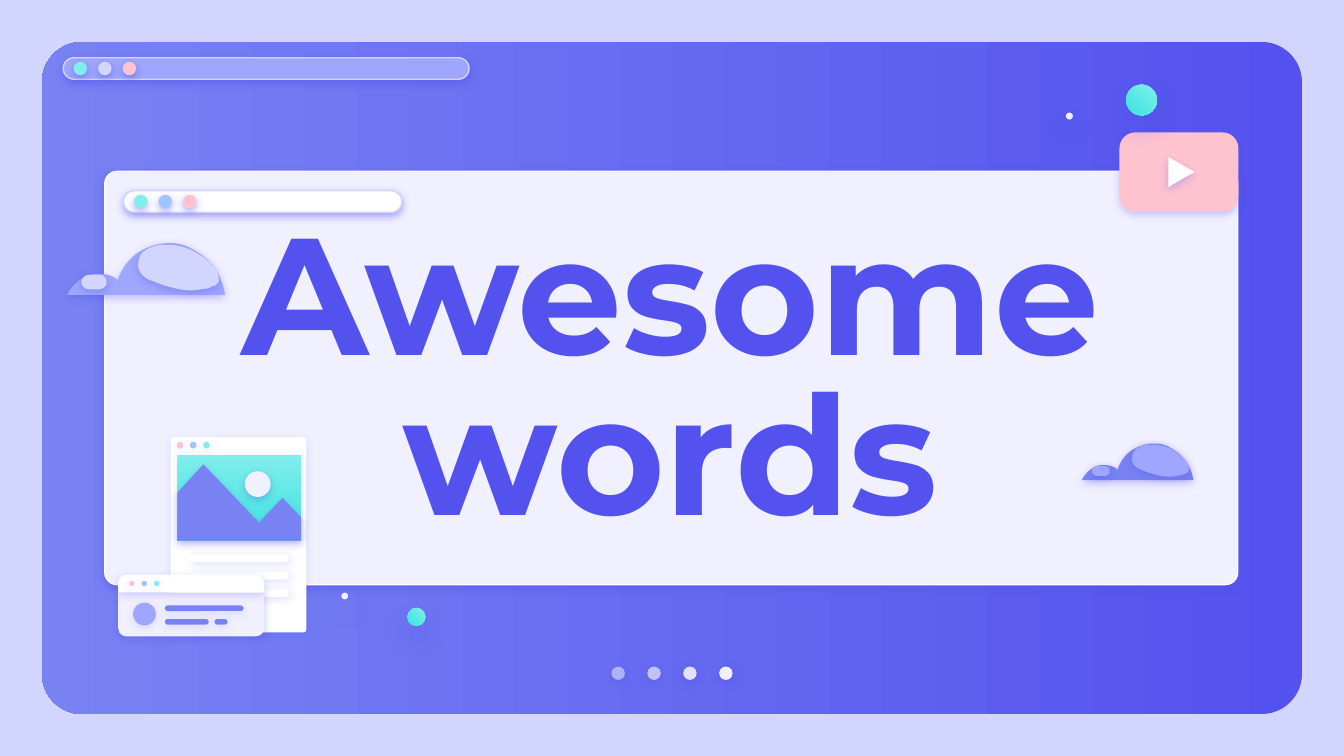
from dataclasses import dataclass

from lxml.etree import SubElement
from pptx import Presentation
from pptx.dml.color import RGBColor
from pptx.enum.shapes import MSO_SHAPE
from pptx.enum.text import MSO_ANCHOR, PP_ALIGN
from pptx.oxml.ns import qn
from pptx.util import Inches, Pt


@dataclass(frozen=True)
class Theme:
    indigo: str = "5352EE"
    violet: str = "7882F3"
    lilac: str = "9EA6FF"
    mist: str = "D2D6FF"
    paper: str = "F1F0FF"
    white: str = "FFFFFF"
    pink: str = "FFC3D0"
    sky: str = "A1C3FF"
    aqua: str = "81EEEB"
    teal: str = "3AE4DF"
    font: str = "Montserrat"
    title_size: int = 89
    outline: float = 0.75


@dataclass(frozen=True)
class Shadow:
    opacity: int
    blur: float = 4.5
    distance: float = 1.5
    angle: int = 90


@dataclass(frozen=True)
class Box:
    left: float
    top: float
    width: float
    height: float

    def inner(self, x, y, w, h):
        return Box(*self.point(x, y), w * self.width, h * self.height)

    def disc(self, x, y, diameter):
        size = diameter * self.height
        cx, cy = self.point(x, y)
        return Box(cx - size / 2, cy - size / 2, size, size)

    def point(self, x, y):
        return self.left + x * self.width, self.top + y * self.height

    def emu(self):
        return [round(v * CELL) for v in (self.left, self.top, self.width, self.height)]


THEME = Theme()
STRONG, MEDIUM, SOFT, FAINT = (Shadow(n) for n in (50, 34, 31, 14))
SLANTED = Shadow(18, angle=39)
FLOATING = Shadow(38, 12.4, 6.8)
WIDTH, HEIGHT = Inches(10), Inches(10) * 9 // 16
CELL = WIDTH / 100
PAGE = Box(0, 0, 100, 56.25)

CLOUD_BODY = [
    (0.65, 0), (0.57, 0, 0.5, 0.08, 0.44, 0.2), (0.39, 0.31, 0.34, 0.51, 0.32, 0.72),
    (0.29, 0.62, 0.24, 0.59, 0.2, 0.59), (0.18, 0.59, 0.15, 0.59, 0.14, 0.62),
    (0.08, 0.67, 0.03, 0.82, 0, 1), (1, 1), (0.98, 0.62, 0.91, 0.31, 0.8, 0.13),
    (0.75, 0.03, 0.7, 0, 0.65, 0),
]
CLOUD_SHINE = [
    (0.64, 0.03), (0.62, 0.03, 0.6, 0.03, 0.59, 0.03), (0.55, 0.05, 0.5, 0.1, 0.47, 0.2),
    (0.45, 0.31, 0.44, 0.44, 0.46, 0.55), (0.48, 0.65, 0.51, 0.7, 0.54, 0.73),
    (0.62, 0.83, 0.71, 0.91, 0.79, 0.91), (0.82, 0.91, 0.84, 0.89, 0.86, 0.88),
    (0.89, 0.88, 0.9, 0.86, 0.92, 0.83), (0.94, 0.83, 0.95, 0.78, 0.96, 0.73),
    (0.96, 0.62, 0.95, 0.55, 0.93, 0.47), (0.86, 0.21, 0.75, 0.03, 0.64, 0.03),
]
MOUNTAINS = [(0.21, 0.11), (0, 0.44), (0, 1), (1, 1), (1, 0.73), (0.85, 0.5), (0.66, 0.79)]
PLAY_MARK = [(0.41, 0.31), (0.63, 0.5), (0.41, 0.69)]


def paint(shape, fill, shadow=None, line=None, alpha=100, angle=0):
    if isinstance(fill, tuple):
        shape.fill.gradient()
        shape.fill.gradient_angle = 360 - angle
        for stop, color in zip(shape.fill.gradient_stops, fill):
            stop.color.rgb = RGBColor.from_string(color)
    else:
        shape.fill.solid()
        shape.fill.fore_color.rgb = RGBColor.from_string(fill)
    if line:
        shape.line.color.rgb = RGBColor.from_string(line)
        shape.line.width = Pt(THEME.outline)
    else:
        shape.line.fill.background()
    shape.shadow.inherit = False
    properties = shape.element.spPr
    if alpha < 100:
        set_alpha(properties.find(f"{qn('a:solidFill')}/{qn('a:srgbClr')}"), alpha)
    if shadow:
        outer = SubElement(
            properties.find(qn("a:effectLst")), qn("a:outerShdw"),
            blurRad=str(Pt(shadow.blur)), dist=str(Pt(shadow.distance)),
            dir=str(shadow.angle * 60000), algn="bl", rotWithShape="0")
        set_alpha(SubElement(outer, qn("a:srgbClr"), val=THEME.indigo), shadow.opacity)


def set_alpha(color, percent):
    SubElement(color, qn("a:alpha"), val=str(percent * 1000))


def preset(shapes, kind, box, fill, shadow=None, corners=(), **style):
    shape = shapes.add_shape(kind, *box.emu())
    for index, corner in enumerate(corners):
        shape.adjustments[index] = corner
    paint(shape, fill, shadow, **style)


def rounded(shapes, box, fill, shadow=None, corner=0.5, **style):
    preset(shapes, MSO_SHAPE.ROUNDED_RECTANGLE, box, fill, shadow, [corner], **style)


def disc(shapes, box, fill, shadow, **style):
    preset(shapes, MSO_SHAPE.OVAL, box, fill, shadow, **style)


def outline(shapes, box, curve, fill, shadow, steps=12):
    points = [curve[0]]
    for segment in curve[1:]:
        if len(segment) == 2:
            points.append(segment)
            continue
        x0, y0 = points[-1]
        x1, y1, x2, y2, x3, y3 = segment
        for step in range(1, steps + 1):
            t = step / steps
            a, b, c, d = (1 - t) ** 3, 3 * t * (1 - t) ** 2, 3 * t * t * (1 - t), t ** 3
            points.append((a * x0 + b * x1 + c * x2 + d * x3, a * y0 + b * y1 + c * y2 + d * y3))
    corners = [tuple(round(v * CELL) for v in box.point(*point)) for point in points]
    builder = shapes.build_freeform(*corners[0])
    builder.add_line_segments(corners[1:], close=True)
    paint(builder.convert_to_shape(), fill, shadow)


def dot_row(shapes, box, colors, first, step, size, shadow, alphas=(100, 100, 100)):
    for index, (color, alpha) in enumerate(zip(colors, alphas)):
        x = (first + index * step) * box.height / box.width
        disc(shapes, box.disc(x, 0.5, size), color, shadow, alpha=alpha)


def address_bar(shapes, box, fill, dots):
    rounded(shapes, box, fill, STRONG, line=THEME.mist)
    dot_row(shapes, box, dots, 0.8, 1.14, 0.63, STRONG)


def page_dots(shapes, box):
    dot_row(shapes, box, [THEME.paper] * 4, 0.5, 2.67, 1, STRONG, (54, 67, 90, 100))


def cloud(shapes, box, fill, shine):
    outline(shapes, box, CLOUD_BODY, fill, SOFT)
    outline(shapes, box, CLOUD_SHINE, shine, SOFT)
    rounded(shapes, box.inner(0.09, 0.61, 0.16, 0.28), shine, SOFT)


def player(shapes, box):
    rounded(shapes, box, THEME.pink, SOFT, corner=0.2)
    outline(shapes, box, PLAY_MARK, THEME.white, SOFT)


def sparkles(shapes, box, orb, speck):
    disc(shapes, box.disc(*orb), (THEME.aqua, THEME.teal), FLOATING, angle=135)
    disc(shapes, box.disc(*speck), THEME.paper, FLOATING)


def document(shapes, box):
    rounded(shapes, box, THEME.white, FAINT, corner=0.02)
    for row in range(3):
        rounded(shapes, box.inner(0.13, 0.6 + 0.09 * row, 0.74, 0.04), THEME.white, SLANTED)
    dot_row(shapes, box.inner(0, 0, 1, 0.08), (THEME.pink, THEME.sky, THEME.aqua),
            0.6, 0.85, 0.42, FAINT)
    landscape = box.inner(0.05, 0.09, 0.91, 0.44)
    preset(shapes, MSO_SHAPE.RECTANGLE, landscape, (THEME.aqua, THEME.teal), FAINT, angle=90)
    outline(shapes, landscape, MOUNTAINS, THEME.violet, MEDIUM)
    disc(shapes, landscape.disc(0.65, 0.34, 0.3), THEME.paper, MEDIUM)


def profile_card(shapes, box):
    header = box.inner(0, 0, 1, 0.29)
    kind = MSO_SHAPE.ROUND_2_SAME_RECTANGLE
    preset(shapes, kind, box.inner(0, 0.29, 1, 0.71), THEME.paper, MEDIUM, (0, 0.18))
    preset(shapes, kind, header, THEME.white, Shadow(24), (0.44, 0))
    dot_row(shapes, header, (THEME.pink, THEME.sky, THEME.aqua), 0.75, 0.7, 0.3, FAINT)
    disc(shapes, box.disc(0.18, 0.64, 0.37), THEME.lilac, FAINT)
    for x, y, width in ((0.32, 0.5, 0.54), (0.32, 0.72, 0.3), (0.66, 0.72, 0.09)):
        rounded(shapes, box.inner(x, y, width, 0.09), THEME.violet, FAINT)


def title(shapes, box):
    heading = shapes.add_textbox(*box.emu())
    frame = heading.text_frame
    frame.word_wrap = True
    frame.vertical_anchor = MSO_ANCHOR.MIDDLE
    frame.margin_left = frame.margin_right = frame.margin_top = frame.margin_bottom = Inches(0.1)
    words = frame.paragraphs[0]
    words.text = "Awesome words"
    words.alignment = PP_ALIGN.CENTER
    words.line_spacing = 0.8
    words.font.name = THEME.font
    words.font.size = Pt(THEME.title_size)
    words.font.bold = True
    words.font.color.rgb = RGBColor.from_string(THEME.indigo)


def title_slide(slide, page):
    shapes = slide.shapes
    slide.background.fill.solid()
    slide.background.fill.fore_color.rgb = RGBColor.from_string(THEME.mist)
    margin = 3.12
    screen = Box(margin, margin, page.width - 2 * margin, page.height - 2 * margin)
    rounded(shapes, screen, (THEME.indigo, THEME.violet), corner=0.06, angle=180)
    rounded(shapes, Box(7.8, 12.75, 84.3, 30.75), THEME.paper, STRONG, 0.03, line=THEME.white)
    title(shapes, Box(16.4, 15, 67, 27.7))
    regions = [
        (address_bar, Box(4.7, 4.3, 30.2, 1.6), THEME.lilac, (THEME.aqua, THEME.mist, THEME.pink)),
        (page_dots, Box(45.5, 49.6, 9, 1)),
        (cloud, Box(5, 18.1, 11.75, 3.85), THEME.lilac, THEME.mist),
        (player, Box(83.3, 9.85, 8.85, 5.9)),
        (cloud, Box(80.5, 33, 8.3, 2.72), THEME.violet, THEME.lilac),
        (sparkles, Box(79.3, 6.3, 6.8, 2.6), (0.83, 0.44, 0.88), (0.04, 0.9, 0.2)),
        (sparkles, Box(25.4, 44.1, 6.2, 2.5), (0.9, 0.72, 0.53), (0.04, 0.1, 0.2)),
        (document, Box(12.7, 32.55, 10.1, 14.5)),
        (profile_card, Box(8.8, 42.75, 10.85, 4.6)),
        (address_bar, Box(9.2, 14.2, 20.7, 1.6), THEME.white, (THEME.aqua, THEME.sky, THEME.pink)),
    ]
    for draw, box, *details in regions:
        draw(shapes.add_group_shape().shapes, box, *details)


def main():
    deck = Presentation()
    deck.slide_width, deck.slide_height = WIDTH, HEIGHT
    title_slide(deck.slides.add_slide(deck.slide_layouts[6]), PAGE)
    deck.save("out.pptx")


if __name__ == "__main__":
    main()
